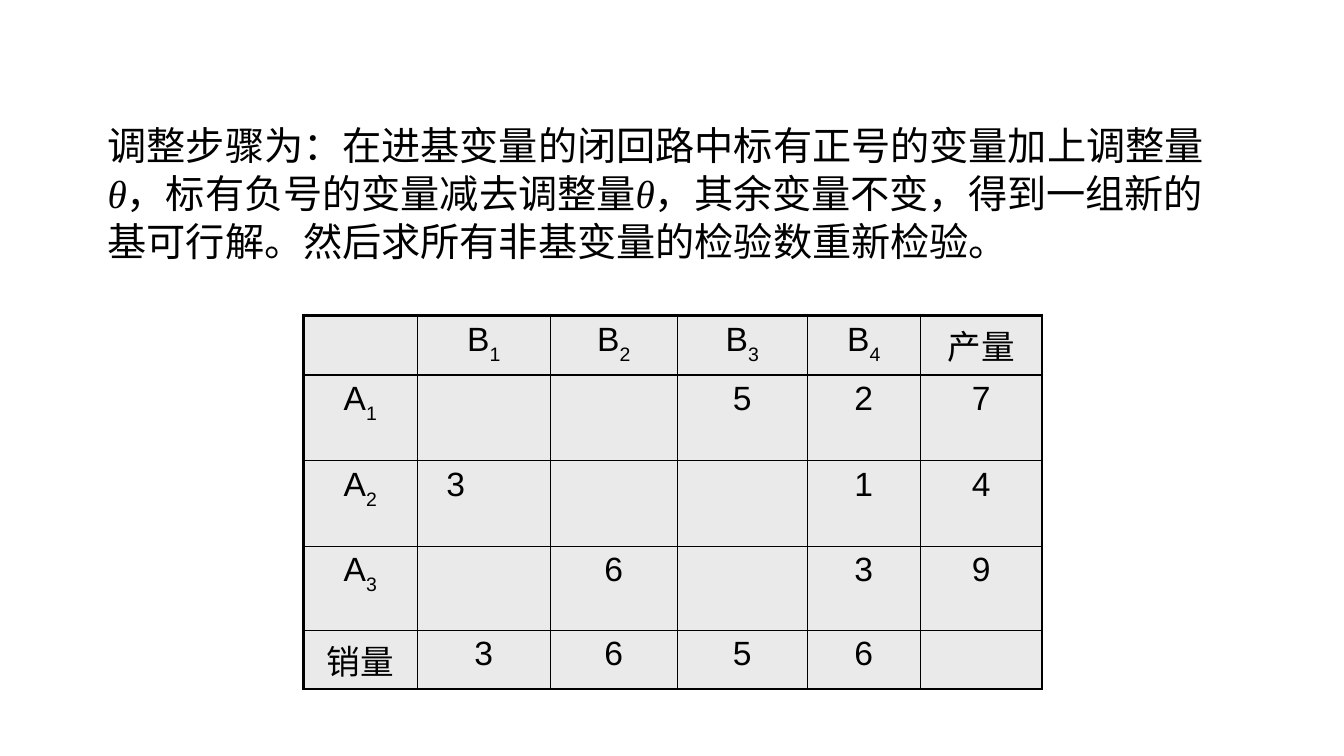
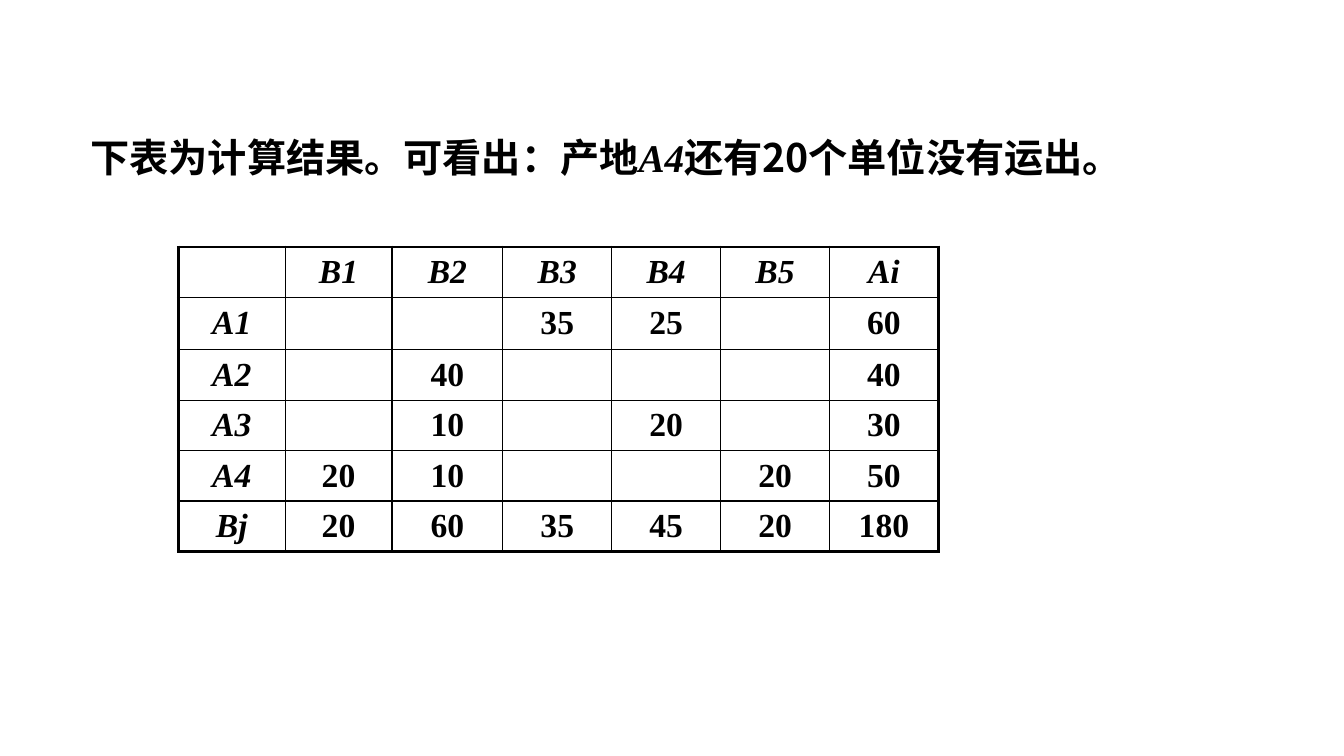
from dataclasses import dataclass

from lxml import etree
from pptx import Presentation
from pptx.dml.color import RGBColor
from pptx.enum.text import MSO_ANCHOR, PP_ALIGN
from pptx.oxml.ns import qn
from pptx.util import Pt

CENTER = PP_ALIGN.CENTER
TOP = MSO_ANCHOR.TOP
MIDDLE = MSO_ANCHOR.MIDDLE


@dataclass(frozen=True)
class Theme:
    ink: str = "000000"
    shade: str = "EAEAEA"
    sans: str = "Arial"
    serif: str = "Times New Roman"
    chinese: str = "Noto Sans CJK SC"
    body_size: float = 28
    cell_size: float = 24
    outer_line: float = 2.25
    inner_line: float = 1
    subscript: int = -30000


THEME = Theme()


def add_span(para, text, size, name, baseline=0, **format_values):
    span = para.add_run()
    span.text = text
    span.font.color.rgb = RGBColor.from_string(THEME.ink)
    values = {"size": Pt(size), "name": name, **format_values}
    for key, value in values.items():
        setattr(span.font, key, value)
    properties = span._r.get_or_add_rPr()
    etree.SubElement(properties, qn("a:ea"), typeface=THEME.chinese)
    if baseline:
        properties.set("baseline", str(baseline))


def add_statement(page, place, spans, line_height, hanging=0):
    box = page.shapes.add_textbox(*map(Pt, place))
    box.text_frame.word_wrap = True
    para = box.text_frame.paragraphs[0]
    para.line_spacing = Pt(line_height)
    if hanging:
        properties = para._p.get_or_add_pPr()
        properties.set("marL", str(Pt(hanging)))
        properties.set("indent", str(-Pt(hanging)))
    for text, format_values in spans:
        add_span(para, text, THEME.body_size, **format_values)


def set_borders(cell, widths):
    properties = cell._tc.get_or_add_tcPr()
    for index, (side, width) in enumerate(widths.items()):
        line = etree.Element(qn(f"a:ln{side}"), w=str(Pt(width)))
        fill = etree.SubElement(line, qn("a:solidFill"))
        etree.SubElement(fill, qn("a:srgbClr"), val=THEME.ink)
        properties.insert(index, line)


def write_subscripted(para, text):
    is_label = text[0] in "AB"
    letter, digit = (text[0], text[1:]) if is_label else (text, "")
    add_span(para, letter, THEME.cell_size, THEME.sans)
    if digit:
        add_span(para, digit, THEME.cell_size, THEME.sans, THEME.subscript)


def write_bold(para, text):
    add_span(para, text, THEME.cell_size, THEME.serif,
             bold=True, italic=text[0] in "AB")


def add_grid(page, left, top, widths, heights, rows, write, anchor, shade=None):
    frame = page.shapes.add_table(len(heights), len(widths), Pt(left), Pt(top),
                                  Pt(sum(widths)), Pt(sum(heights)))
    table = frame.table
    table.first_row = table.horz_banding = False
    for column, width in zip(table.columns, widths):
        column.width = Pt(width)
    for row, height in zip(table.rows, heights):
        row.height = Pt(height)
    last_row, last_column = len(heights) - 1, len(widths) - 1
    for r, row in enumerate(rows):
        for c, text in enumerate(row):
            cell = table.cell(r, c)
            cell.vertical_anchor = anchor
            if shade:
                cell.fill.solid()
                cell.fill.fore_color.rgb = RGBColor.from_string(shade)
            else:
                cell.fill.background()
            edges = {"L": c == 0, "R": c == last_column,
                     "T": r == 0, "B": r == last_row}
            set_borders(cell, {side: THEME.outer_line if outer else THEME.inner_line
                               for side, outer in edges.items()})
            para = cell.text_frame.paragraphs[0]
            para.alignment = CENTER
            if text:
                write(para, text)
    return table


def add_adjustment_page(deck):
    page = deck.slides.add_slide(deck.slide_layouts[6])
    plain = {"name": THEME.serif}
    theta = ("θ", {"name": THEME.serif, "italic": True})
    table = add_grid(
        page, 216.7, 225.4,
        [81.4, 95, 90.7, 92.9, 80.6, 87.1],
        [42.5, 61.2, 61.2, 59.8, 35.3],
        [["", "B1", "B2", "B3", "B4", "产量"],
         ["A1", "", "", "5", "2", "7"],
         ["A2", "3", "", "", "1", "4"],
         ["A3", "", "6", "", "3", "9"],
         ["销量", "3", "6", "5", "6", ""]],
        write_subscripted, TOP, THEME.shade)
    table.cell(2, 1).margin_right = Pt(47.2)
    add_statement(page, (69.8, 82.8, 820, 108.7), [
        ("调整步骤为：在进基变量的闭回路中标有正号的变量加上调整量", plain),
        theta,
        ("，标有负号的变量减去调整量", plain),
        theta,
        ("，其余变量不变，得到一组新的基可行解。然后求所有非基变量的检验数重新检验。", plain),
    ], 34.2)


def add_result_page(deck):
    page = deck.slides.add_slide(deck.slide_layouts[6])
    strong = {"name": THEME.chinese, "bold": True}
    add_statement(page, (57.6, 94.3, 734.4, 39.6), [
        ("下表为计算结果。可看出：产地", strong),
        ("A4", {"name": THEME.serif, "bold": True, "italic": True}),
        ("还有20个单位没有运出。", strong),
    ], 30.8, hanging=18)
    add_grid(
        page, 127.4, 176.4,
        [76.3, 76.3, 79.2] + [77.8] * 4,
        [28.8, 37.4, 28.8, 28.8, 28.8, 31.7],
        [["", "B1", "B2", "B3", "B4", "B5", "Ai"],
         ["A1", "", "", "35", "25", "", "60"],
         ["A2", "", "40", "", "", "", "40"],
         ["A3", "", "10", "", "20", "", "30"],
         ["A4", "20", "10", "", "", "20", "50"],
         ["Bj", "20", "60", "35", "45", "20", "180"]],
        write_bold, MIDDLE)


def main():
    deck = Presentation()
    deck.slide_width, deck.slide_height = Pt(960), Pt(540)
    add_adjustment_page(deck)
    add_result_page(deck)
    deck.save("out.pptx")


main()
